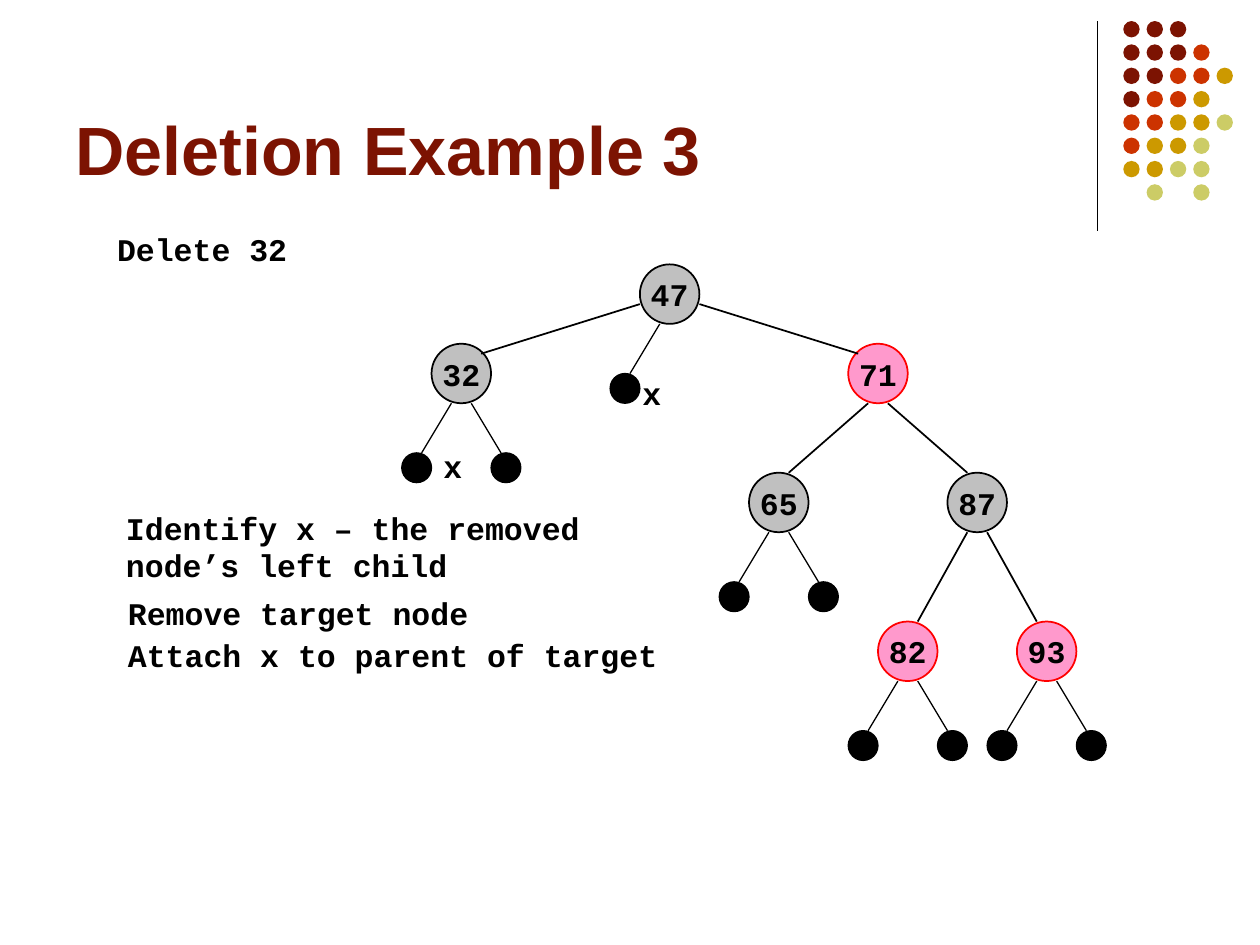
import pptx
import pptx.dml.color
import pptx.enum.shapes
import pptx.enum.text
import pptx.oxml.ns
import pptx.util
from lxml import etree

Cm = pptx.util.Cm
Pt = pptx.util.Pt

COLORS = {
    "black": "000000",
    "maroon": "7C1302",
    "orange": "CC3300",
    "gold": "CC9900",
    "olive": "CCCC66",
    "grey": "C0C0C0",
    "pink": "FF99CC",
    "red": "FF0000",
}
NODE_SIZE = 1.2
LEAF_SIZE = 0.6

# key: centre x, centre y, whether the node is red
NODES = {
    "47": (13.5, 5.93, False),
    "32": (9.3, 7.53, False),
    "71": (17.7, 7.53, True),
    "65": (15.7, 10.13, False),
    "87": (19.7, 10.13, False),
    "82": (18.3, 13.13, True),
    "93": (21.1, 13.13, True),
}
ROOT_EDGES = [("47", "32"), ("47", "71")]
INNER_EDGES = [("71", "65"), ("71", "87"), ("87", "82"), ("87", "93")]
# key: sides that carry a leaf, -1 left and 1 right
LEAVES = {"47": (-1,), "32": (-1, 1), "65": (-1, 1), "82": (-1, 1), "93": (-1, 1)}

# text, left, top, width, height
LABELS = [
    ("Delete 32", 2.11, 4.52, 6.6, 1.02),
    ("x", 8.69, 8.89, 1.2, 1.02),
    ("x", 12.7, 7.42, 1.2, 1.02),
    ("Identify x – the removed node’s left child", 2.29, 10.13, 10.41, 1.78),
    ("Remove target node", 2.33, 11.86, 11.43, 1.02),
    ("Attach x to parent of target", 2.33, 12.7, 11.43, 1.02),
]

DOT_ROWS = ["MMM", "MMMO", "MMOOG", "MOOG", "OOGGL", "OGGL", "GGLL", " L L"]
DOT_COLORS = {"M": "maroon", "O": "orange", "G": "gold", "L": "olive"}


def rgb(name):
    return pptx.dml.color.RGBColor.from_string(COLORS[name])


def style_font(paragraph, typeface, size, color):
    paragraph.font.name = typeface
    paragraph.font.size = Pt(size)
    paragraph.font.bold = True
    paragraph.font.color.rgb = rgb(color)


def add_circle(slide, x, y, size, fill, outline=None, weight=1):
    """Draw a circle centred on x, y."""
    circle = slide.shapes.add_shape(
        pptx.enum.shapes.MSO_SHAPE.OVAL,
        Cm(x - size / 2), Cm(y - size / 2), Cm(size), Cm(size))
    circle.shadow.inherit = False
    circle.fill.solid()
    circle.fill.fore_color.rgb = rgb(fill)
    if outline:
        circle.line.color.rgb = rgb(outline)
        circle.line.width = Pt(weight)
    else:
        circle.line.fill.background()
    return circle


def add_line(slide, x1, y1, x2, y2, weight):
    line = slide.shapes.add_connector(
        pptx.enum.shapes.MSO_CONNECTOR.STRAIGHT, Cm(x1), Cm(y1), Cm(x2), Cm(y2))
    line.line.color.rgb = rgb("black")
    line.line.width = Pt(weight)
    etree.SubElement(line._element.spPr, pptx.oxml.ns.qn("a:effectLst"))


def add_node(slide, key):
    x, y, is_red = NODES[key]
    fill, outline = ("pink", "red") if is_red else ("grey", "black")
    frame = add_circle(slide, x, y, NODE_SIZE, fill, outline).text_frame
    frame.margin_left = frame.margin_right = 0
    frame.margin_top = frame.margin_bottom = 0
    frame.word_wrap = False
    frame.vertical_anchor = pptx.enum.text.MSO_ANCHOR.MIDDLE
    number = frame.paragraphs[0]
    number.text = key
    number.alignment = pptx.enum.text.PP_ALIGN.CENTER
    style_font(number, "Courier New", 18, "black")


def add_edge(slide, parent, child, start, end):
    """Join two nodes; start and end are offsets from the centres, for a right child."""
    px, py, _ = NODES[parent]
    cx, cy, _ = NODES[child]
    side = 1 if cx > px else -1
    add_line(slide, px + side * start[0], py + start[1],
             cx + side * end[0], cy + end[1], 1)


def add_leaf(slide, parent, side):
    x, y, _ = NODES[parent]
    add_line(slide, x + side * 0.2, y + 0.6, x + side * 0.8, y + 1.6, 0.75)
    add_circle(slide, x + side * 0.9, y + 1.9, LEAF_SIZE, "black", "black", 0.75)


def add_label(slide, text, left, top, width, height):
    frame = slide.shapes.add_textbox(Cm(left), Cm(top), Cm(width), Cm(height)).text_frame
    frame.word_wrap = True
    frame.paragraphs[0].text = text
    style_font(frame.paragraphs[0], "Courier New", 18, "black")


def add_corner_dots(slide):
    add_line(slide, 22.12, 0.43, 22.12, 4.65, 0.75)
    for row, codes in enumerate(DOT_ROWS):
        for column, code in enumerate(codes):
            if code in DOT_COLORS:
                add_circle(slide, 22.81 + 0.47 * column, 0.59 + 0.47 * row,
                           0.33, DOT_COLORS[code])


def set_title(slide, text):
    title = slide.shapes.title
    title.left, title.top = Cm(1.27), Cm(0.33)
    title.width, title.height = Cm(20.95), Cm(3.61)
    frame = title.text_frame
    frame.text = text
    frame.auto_size = pptx.enum.text.MSO_AUTO_SIZE.NONE
    frame.vertical_anchor = pptx.enum.text.MSO_ANCHOR.BOTTOM
    frame.paragraphs[0].alignment = pptx.enum.text.PP_ALIGN.LEFT
    style_font(frame.paragraphs[0], "Arial", 39, "maroon")


def main():
    deck = pptx.Presentation()
    deck.slide_width, deck.slide_height = Cm(25.4), Cm(19.05)
    slide = deck.slides.add_slide(deck.slide_layouts[5])
    add_corner_dots(slide)
    set_title(slide, "Deletion Example 3")
    for key in NODES:
        add_node(slide, key)
    for parent, child in ROOT_EDGES:
        add_edge(slide, parent, child, (0.6, 0.2), (-0.4, -0.4))
    for parent, child in INNER_EDGES:
        add_edge(slide, parent, child, (0.2, 0.6), (-0.2, -0.6))
    for parent, sides in LEAVES.items():
        for side in sides:
            add_leaf(slide, parent, side)
    for label in LABELS:
        add_label(slide, *label)
    deck.save("out.pptx")


if __name__ == "__main__":
    main()
